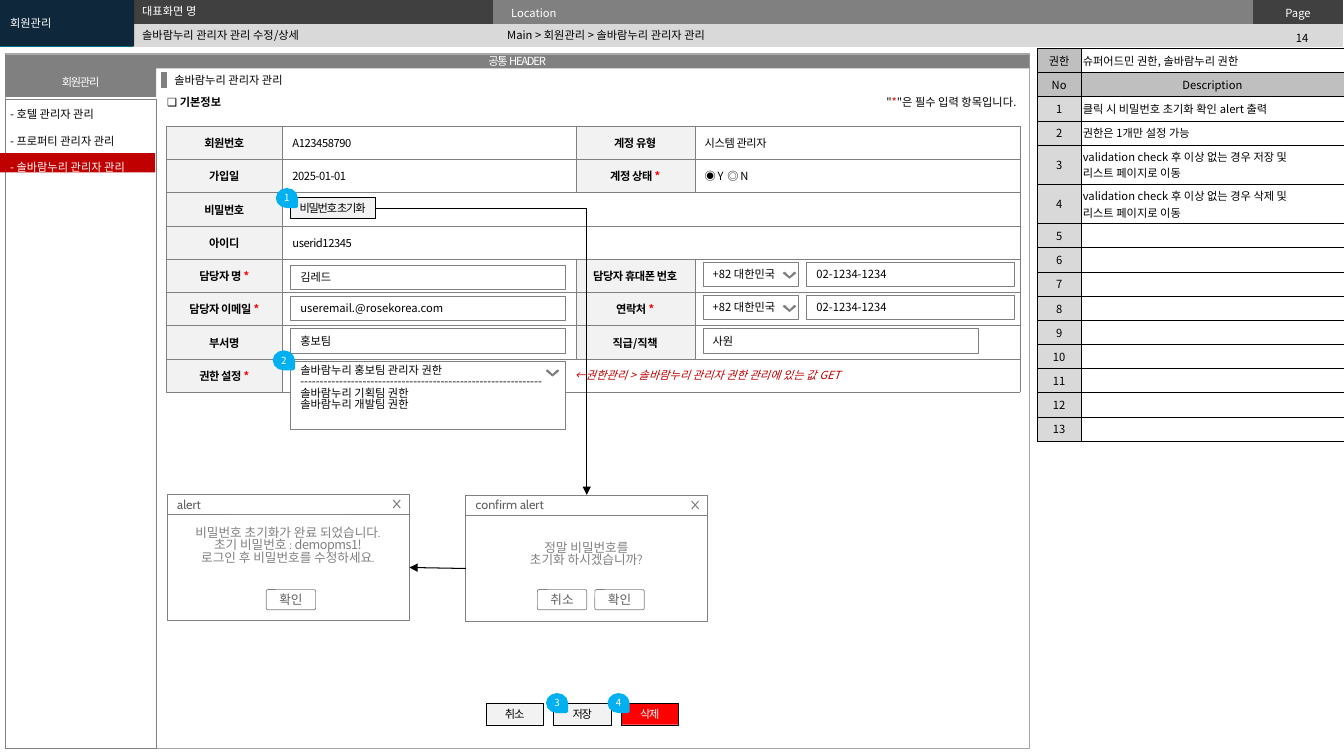
from dataclasses import dataclass

from lxml import etree
from pptx import Presentation
from pptx.dml.color import RGBColor
from pptx.enum import shapes, text
from pptx.oxml import ns
from pptx.util import Pt

SCALE = 9144
KIND = shapes.MSO_SHAPE
LEFT, MID, RIGHT = text.PP_ALIGN.LEFT, text.PP_ALIGN.CENTER, text.PP_ALIGN.RIGHT
TOP, HALF = text.MSO_ANCHOR.TOP, text.MSO_ANCHOR.MIDDLE


@dataclass(frozen=True)
class Theme:
    black: str = "000000"
    white: str = "FFFFFF"
    navy: str = "0E273B"
    teal: str = "009CA6"
    dark: str = "404040"
    slate: str = "5F5F5F"
    gray: str = "808080"
    frame: str = "A6A6A6"
    head: str = "BFBFBF"
    side: str = "D9D9D9"
    pale: str = "F2F2F2"
    red: str = "FF0000"
    brick: str = "C00000"
    sky: str = "00B0F0"
    sans: str = "Noto Sans CJK KR"
    cabin: str = "Cabin"
    tiny: int = 7
    base: int = 8
    large: int = 9


T = Theme()
DIALOG = {"size": T.large, "face": T.cabin, "ink": T.slate}
GRAY = {"line": T.gray}
BUTTON = {"fill": T.pale, "line": T.black, "tight": -90}


def px(*vals):
    return [round(v * SCALE) for v in vals]


def dress(item, **vals):
    for name, val in vals.items():
        setattr(item, name, val)


def tag(node, name, **vals):
    return etree.SubElement(node, ns.qn(name), **vals)


def style(run, size=T.base, ink=T.black, face=T.sans, bold=False, italic=False, tight=0):
    dress(run.font, size=Pt(size), name=face, bold=bold, italic=italic)
    run.font.color.rgb = RGBColor.from_string(ink)
    props = run._r.get_or_add_rPr()
    tag(props, "a:ea", typeface=T.sans)
    if tight:
        props.set("spc", str(tight))


def write(frame, words, align=LEFT, gap=1.0, plain=False, **look):
    for i, line in enumerate(words.split("\n")):
        para = frame.add_paragraph() if i else frame.paragraphs[0]
        dress(para, alignment=align, space_before=Pt(0), line_spacing=gap)
        if plain:
            props = para._p.get_or_add_pPr()
            props.set("marL", "0")
            props.set("indent", "0")
            tag(props, "a:buNone")
        for part in line.partition("*"):
            if part:
                run = para.add_run()
                run.text = part
                style(run, **{**look, "ink": T.red} if part == "*" else look)
        if not line:
            tag(para._p, "a:endParaRPr", sz=str(T.base * 100))


def pad(frame, side=10, rim=0, anchor=HALF):
    a, b = px(side, rim)
    dress(frame, margin_left=a, margin_right=a, margin_top=b, margin_bottom=b,
          vertical_anchor=anchor, word_wrap=True, auto_size=text.MSO_AUTO_SIZE.NONE)


def paint(shape, fill=None, line=None, width=0.25):
    shape.shadow.inherit = False
    for part, hue in ((shape.fill, fill), (shape.line.fill, line)):
        if hue:
            part.solid()
            part.fore_color.rgb = RGBColor.from_string(hue)
        else:
            part.background()
    if line:
        shape.line.width = Pt(width)


def box(slide, area, words="", fill=None, line=None, width=0.25, kind=KIND.RECTANGLE,
        side=10, rim=0, anchor=HALF, **look):
    shape = slide.shapes.add_shape(kind, *px(*area))
    paint(shape, fill, line, width)
    if words:
        pad(shape.text_frame, side, rim, anchor)
        write(shape.text_frame, words, **look)
    return shape


def label(slide, area, words, side=10, rim=5, anchor=TOP, **look):
    frame = slide.shapes.add_textbox(*px(*area)).text_frame
    pad(frame, side, rim, anchor)
    write(frame, words, **look)
    return frame


def hold(slide, idx, area, words, rim=0, anchor=HALF, **look):
    spot = next(s for s in slide.placeholders if s.placeholder_format.idx == idx)
    dress(spot, **dict(zip(("left", "top", "width", "height"), px(*area))))
    spot._element.getparent().append(spot._element)
    pad(spot.text_frame, 10, rim, anchor)
    write(spot.text_frame, words, plain=True, **look)
    return spot


def grid(slide, spot, cols, rows):
    shape = slide.shapes.add_table(len(rows), len(cols), *px(*spot, sum(cols), sum(rows)))
    table = shape.table
    dress(table, first_row=False, horz_banding=False)
    table._tbl.tblPr.find(ns.qn("a:tableStyleId")).text = "{2D5ABB26-0587-4C30-8999-92F81FD0307C}"
    for col, wide in zip(table.columns, px(*cols)):
        col.width = wide
    for row, high in zip(table.rows, px(*rows)):
        row.height = high
    return table


def cell(table, row, col, words="", fill=T.white, side=10, edge=None, width=0.25, **look):
    item = table.cell(row, col)
    a, b = px(side, 3)
    dress(item, margin_left=a, margin_right=a, margin_top=b, margin_bottom=b, vertical_anchor=HALF)
    item.fill.solid()
    item.fill.fore_color.rgb = RGBColor.from_string(fill)
    write(item.text_frame, words, **look)
    if edge:
        props = item._tc.get_or_add_tcPr()
        for i, name in enumerate(("a:lnL", "a:lnR", "a:lnT", "a:lnB")):
            rule = tag(props, name, w=str(Pt(width)))
            tag(tag(rule, "a:solidFill"), "a:srgbClr", val=edge)
            props.insert(i, rule)


def link(slide, ends=(0, 0, 0, 0), hue=T.black, width=0.75, join=None, bent=False):
    kind = shapes.MSO_CONNECTOR.ELBOW if bent else shapes.MSO_CONNECTOR.STRAIGHT
    wire = slide.shapes.add_connector(kind, *px(*ends))
    if join:
        start, out, stop, into = join
        wire.begin_connect(start, out)
        wire.end_connect(stop, into)
    wire.line.color.rgb = RGBColor.from_string(hue)
    wire.line.width = Pt(width)
    props = wire._element.spPr
    if bent:
        props.find(ns.qn("a:prstGeom")).set("prst", "bentConnector2")
    if join:
        tag(wire.line._get_or_add_ln(), "a:tailEnd", type="triangle")
    tag(props, "a:effectLst")


def chevron(slide, x, y):
    pen = slide.shapes.build_freeform(0, 1, SCALE)
    pen.add_line_segments([(1, 0), (6, 5), (11, 0), (12, 1), (6, 6)])
    paint(pen.convert_to_shape(*px(x, y)), T.slate, T.gray, 0.75)


def cross(slide, x, y):
    pen = slide.shapes.build_freeform(7, 0, SCALE)
    pen.add_line_segments([(0, 8)], close=False)
    pen.move_to(0, 0)
    pen.add_line_segments([(7, 8)], close=False)
    paint(pen.convert_to_shape(*px(x, y)), None, T.gray, 0.75)


def badge(slide, x, y, words):
    drop = box(slide, (x, y, 17, 19), words, T.sky, T.sky, 2, KIND.TEAR, 0,
               align=MID, size=T.tiny, ink=T.white)
    drop.rotation = 90
    drop.text_frame._txBody.bodyPr.set("vert", "vert270")


def field(slide, x, y, words, wide=273):
    return box(slide, (x, y, wide, 24), words, T.white, **GRAY)


def dialog(slide, x, y, name, words, drop, keys):
    body = box(slide, (x, y + 20, 240, 106), fill=T.white, width=0.5, **GRAY)
    frame = label(slide, (x + 5, y + drop, 229, 60), words, 8, 4, align=MID, gap=0.83,
                  **{**DIALOG, "ink": T.gray})
    bar = box(slide, (x, y, 240, 20), name, T.white, width=0.5, **GRAY, **DIALOG)
    cross(slide, x + 224, y + 6)
    for left, word in keys:
        key = box(slide, (left, 585, 49, 20), word, T.white, width=0.5,
                  kind=KIND.ROUNDED_RECTANGLE, align=MID, **GRAY, **DIALOG)
        key.adjustments[0] = 0.09
    return body, bar, frame


def banner(slide):
    table = grid(slide, (0, 0), (132, 357, 754, 89), (24, 23))
    tops = (("", T.teal), ("", T.dark), ("Location", T.gray), ("Page", T.dark))
    for col, (word, fill) in enumerate(tops):
        cell(table, 0, col, word, fill, 18, ink=T.white, align=MID if word == "Page" else LEFT)
        cell(table, 1, col, fill=T.side if col else T.teal)
    table.cell(0, 0).merge(table.cell(1, 0))
    label(slide, (1248, 26, 87, 24), "14", align=MID)
    box(slide, (5, 53, 1016, 689), line=T.frame)
    hold(slide, 0, (131, 24, 363, 22), "솔바람누리 관리자 관리 수정/상세")
    hold(slide, 1, (493, 23, 738, 24), "Main > 회원관리 > 솔바람누리 관리자 관리")
    hold(slide, 2, (131, 0, 362, 22), "대표화면 명", ink=T.white)
    paint(hold(slide, 3, (0, 0, 133, 46), "회원관리", ink=T.white), T.navy)


def notes(slide):
    save = "validation check 후 이상 없는 경우 {} 및\n리스트 페이지로 이동"
    lines = ["슈퍼어드민 권한, 솔바람누리 권한", "Description", "클릭 시 비밀번호 초기화 확인 alert 출력",
             "권한은 1개만 설정 가능", save.format("저장"), save.format("삭제")] + [""] * 9
    keys = ["권한", "No"] + [str(n) for n in range(1, 14)]
    table = grid(slide, (1029, 48), (43, 261), [39 if "\n" in s else 24 for s in lines])
    rule = {"side": 2, "edge": T.black, "width": 0.5}
    for row, (key, line) in enumerate(zip(keys, lines)):
        cell(table, row, 0, key, T.head if row < 2 else T.side, align=MID, **rule)
        cell(table, row, 1, line, T.head if row == 1 else T.white,
             align=MID if row == 1 else LEFT, **rule)


def form(slide):
    rows = (("회원번호", "A123458790", "계정 유형", "시스템 관리자"),
            ("가입일", "2025-01-01", "계정 상태 *", "◉ Y  ◎ N"),
            ("비밀번호", ""), ("아이디", "userid12345"),
            ("담당자 명 *", "", "담당자 휴대폰 번호", ""),
            ("담당자 이메일 *", "", "연락처 *", ""),
            ("부서명", "", "직급/직책", ""), ("권한 설정 *", ""))
    table = grid(slide, (165, 125), (115, 291, 118, 323), [33] * len(rows))
    for row, words in enumerate(rows):
        for col in range(4):
            key = col % 2 == 0 and col < len(words)
            cell(table, row, col, words[col] if col < len(words) else "", T.pale if key else T.white,
                 edge=T.gray, align=MID if key else LEFT, bold=key, tight=-30)
        if len(words) == 2:
            table.cell(row, 1).merge(table.cell(row, 3))
    label(slide, (156, 90, 90, 24), "❏ 기본정보", bold=True)
    label(slide, (833, 90, 185, 24), '"*"은 필수 입력 항목입니다.', align=RIGHT)
    for y, words in ((263, "김레드"), (294, "useremail.@rosekorea.com"), (326, "홍보팀")):
        field(slide, 288, y, words)
    field(slide, 697, 326, "사원")
    for y in (260, 293):
        field(slide, 697, y, "+82 대한민국", 95)
        field(slide, 800, y, "02-1234-1234", 206)
        chevron(slide, 777, y + 10)
    roles = ("솔바람누리 홍보팀 관리자 권한", "-" * 62, "솔바람누리 기획팀 권한", "솔바람누리 개발팀 권한")
    box(slide, (288, 358, 273, 68), "\n".join(roles), T.white, rim=5, anchor=TOP, gap=0.83, **GRAY)
    chevron(slide, 542, 367)
    return box(slide, (288, 196, 84, 21), "비밀번호 초기화", side=0, align=MID, **BUTTON)


def main():
    deck = Presentation()
    deck.slide_width, deck.slide_height = px(1333, 750)
    slide = deck.slides.add_slide(deck.slide_layouts[4])
    banner(slide)
    box(slide, (5, 98, 150, 644), **GRAY)
    for area, words in (((5, 54, 1016, 14), "공통 HEADER"), ((5, 67, 150, 29), "회원관리")):
        box(slide, area, words, T.gray, side=4, align=MID, ink=T.white, tight=-90)
    notes(slide)
    label(slide, (163, 68, 241, 24), "솔바람누리 관리자 관리")
    link(slide, (163, 71, 163, 87), T.gray, 4.5)
    reset = form(slide)
    for i, words in enumerate(("취소", "저장", "삭제")):
        look = {**BUTTON, "fill": T.red, "ink": T.white} if words == "삭제" else BUTTON
        box(slide, (482 + 67 * i, 698, 57, 21), words, side=0, align=MID, **look)
    ask, bar, _ = dialog(slide, 462, 491, "confirm alert", "정말 비밀번호를\n초기화 하시겠습니까?", 43,
                         ((533, "취소"), (590, "확인")))
    done, _, frame = dialog(slide, 166, 490, "alert",
                            "비밀번호 초기화가 완료 되었습니다.\n초기 비밀번호 : \n로그인 후 비밀번호를 수정하세요.",
                            29, ((264, "확인"),))
    code = frame.paragraphs[1].add_run()
    code.text = "demopms1!"
    style(code, T.large, T.gray, tight=-30)
    link(slide, join=(reset, 3, bar, 0), bent=True)
    link(slide, join=(ask, 1, done, 3))
    for i, (x, y) in enumerate(((276, 187), (273, 348), (544, 688), (605, 688)), 1):
        badge(slide, x, y, str(i))
    box(slide, (0, 152, 154, 19), fill=T.brick)
    menu = hold(slide, 4, (0, 88, 154, 87), "- 호텔 관리자 관리\n- 프로퍼티 관리자 관리\n- 솔바람누리 관리자 관리",
                5, TOP, gap=2.0)
    menu.text_frame.paragraphs[-1].runs[0].font.color.rgb = RGBColor.from_string(T.white)
    label(slide, (560, 362, 294, 30), "←권한관리 > 솔바람누리 관리자 권한 관리에 있는 값 GET",
          gap=0.87, ink=T.brick, italic=True)
    deck.save("out.pptx")


if __name__ == "__main__":
    main()
